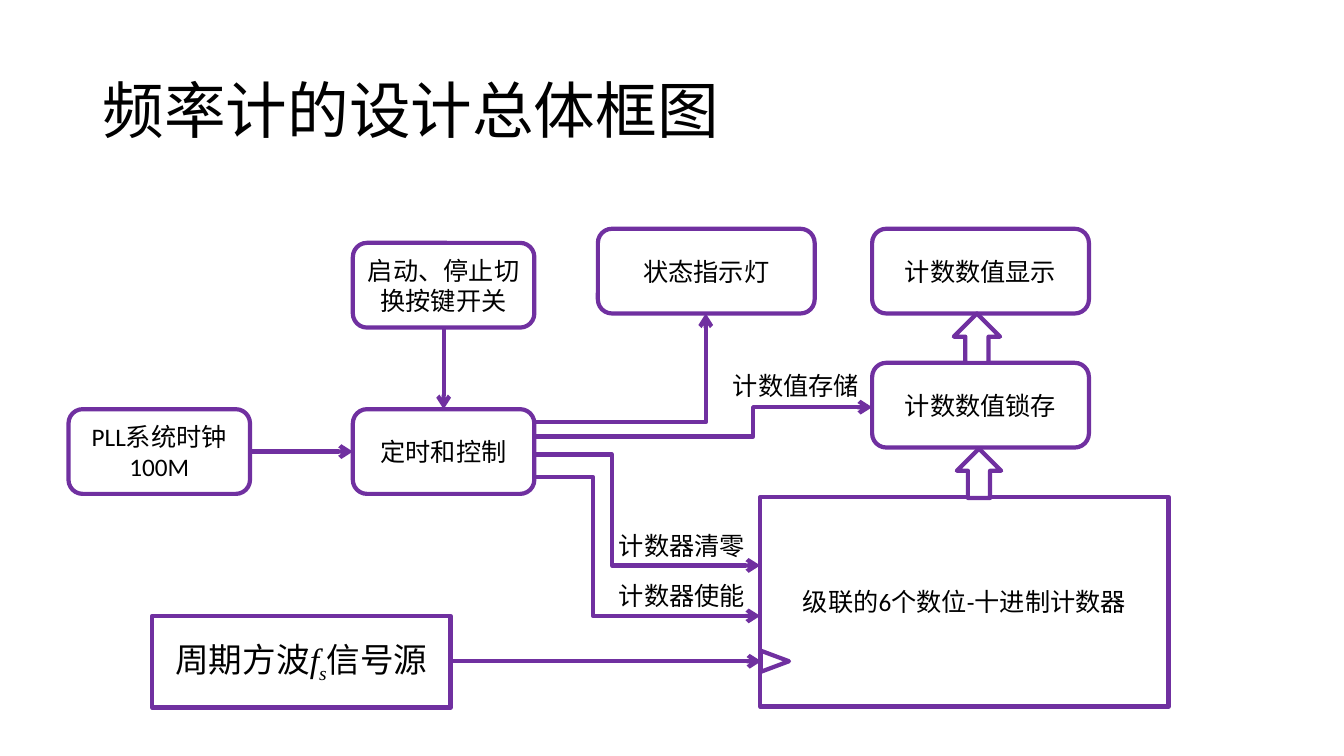
"""Build the block diagram slide of a frequency counter."""
from lxml.etree import SubElement
from pptx import Presentation
from pptx.dml.color import RGBColor
from pptx.enum.shapes import MSO_CONNECTOR as LINK, MSO_SHAPE as SHAPE
from pptx.enum.text import MSO_ANCHOR as ANCHOR, PP_ALIGN as ALIGN
from pptx.oxml.ns import qn
from pptx.util import Inches, Pt

COLORS = {"line": "7030A0", "fill": "FFFFFF", "text": "000000"}


def style_text(shape, size, anchor, align):
    shape.text_frame.word_wrap = True
    shape.text_frame.vertical_anchor = anchor
    for paragraph in shape.text_frame.paragraphs:
        paragraph.alignment = align
        for run in paragraph.runs:
            run.font.size = Pt(size)
            run.font.name = "Calibri"
            run.font.color.rgb = RGBColor.from_string(COLORS["text"])


def add_block(kind, left, top, width, height):
    shape = slide.shapes.add_shape(kind, Inches(left), Inches(top), Inches(width), Inches(height))
    shape.shadow.inherit = False
    shape.fill.solid()
    shape.fill.fore_color.rgb = RGBColor.from_string(COLORS["fill"])
    shape.line.color.rgb = RGBColor.from_string(COLORS["line"])
    shape.line.width = Pt(3)
    return shape


presentation = Presentation()
presentation.slide_width = Inches(13.33)
presentation.slide_height = Inches(7.5)
slide = presentation.slides.add_slide(presentation.slide_layouts[6])

title = slide.shapes.add_textbox(Inches(0.92), Inches(0.4), Inches(11.5), Inches(1.45))
title.text_frame.text = "频率计的设计总体框图"
style_text(title, 44, ANCHOR.MIDDLE, ALIGN.LEFT)
title.text_frame.paragraphs[0].line_spacing = 0.9

blocks = [
    (SHAPE.ROUNDED_RECTANGLE, 0.68, 4.06, 1.8, 0.84, "PLL系统时钟100M"),
    (SHAPE.ROUNDED_RECTANGLE, 3.5, 4.06, 1.8, 0.84, "定时和控制"),
    (SHAPE.ROUNDED_RECTANGLE, 3.5, 2.41, 1.8, 0.84, "启动、停止切换按键开关"),
    (SHAPE.ROUNDED_RECTANGLE, 5.93, 2.27, 2.15, 0.84, "状态指示灯"),
    (SHAPE.ROUNDED_RECTANGLE, 8.65, 2.27, 2.15, 0.84, "计数数值显示"),
    (SHAPE.ROUNDED_RECTANGLE, 8.65, 3.6, 2.15, 0.84, "计数数值锁存"),
    (SHAPE.RECTANGLE, 7.54, 4.93, 4.05, 2.08, "级联的6个数位-十进制计数器"),
]
for kind, left, top, width, height, text in blocks:
    block = add_block(kind, left, top, width, height)
    block.text_frame.text = text
    style_text(block, 18, ANCHOR.MIDDLE, ALIGN.CENTER)

source = add_block(SHAPE.RECTANGLE, 1.51, 6.11, 2.96, 0.91)
paragraph = source.text_frame.paragraphs[0]
for text in ("周期方波", "f", "s", "信号源"):
    paragraph.add_run().text = text
style_text(source, 24, ANCHOR.MIDDLE, ALIGN.CENTER)
symbol, subscript = paragraph.runs[1:3]
for run in (symbol, subscript):
    run.font.name = "Times New Roman"
    run.font.italic = True
subscript.font._element.set("baseline", "-25000")

add_block(SHAPE.UP_ARROW, 9.49, 4.45, 0.44, 0.49)
add_block(SHAPE.UP_ARROW, 9.46, 3.11, 0.46, 0.49)
clock_input = add_block(SHAPE.FLOWCHART_EXTRACT, 7.58, 6.42, 0.21, 0.28)
clock_input.rotation = 90

for left, top, text in [
    (6.04, 5.71, "计数器使能"),
    (6.04, 5.21, "计数器清零"),
    (7.17, 3.62, "计数值存储"),
]:
    label = slide.shapes.add_textbox(Inches(left), Inches(top), Inches(2.06), Inches(0.4))
    label.text_frame.text = text
    style_text(label, 18, ANCHOR.TOP, ALIGN.LEFT)

signals = [
    ("line", 2.48, 4.48, 3.5, 4.48, None),
    ("line", 4.4, 3.25, 4.4, 4.06, None),
    ("line", 4.47, 6.56, 7.55, 6.56, None),
    ("bentConnector2", 5.3, 4.19, 7, 3.11, None),
    ("bentConnector3", 5.3, 4.33, 8.65, 4.04, 7.47),
    ("bentConnector3", 5.3, 4.51, 7.54, 5.61, 6.07),
    ("bentConnector3", 5.3, 4.73, 7.54, 6.11, 5.88),
]
for preset, start_x, start_y, end_x, end_y, bend_x in signals:
    link = LINK.STRAIGHT if preset == "line" else LINK.ELBOW
    connector = slide.shapes.add_connector(
        link, Inches(start_x), Inches(start_y), Inches(end_x), Inches(end_y))
    connector.line.color.rgb = RGBColor.from_string(COLORS["line"])
    connector.line.width = Pt(3)
    properties = connector._element.spPr
    SubElement(connector.line._get_or_add_ln(), qn("a:tailEnd"), type="arrow")
    SubElement(properties, qn("a:effectLst"))
    geometry = properties.find(qn("a:prstGeom"))
    geometry.set("prst", preset)
    if bend_x:
        share = round((bend_x - start_x) / (end_x - start_x) * 100000)
        SubElement(geometry.find(qn("a:avLst")), qn("a:gd"), name="adj1", fmla=f"val {share}")

presentation.save("out.pptx")
